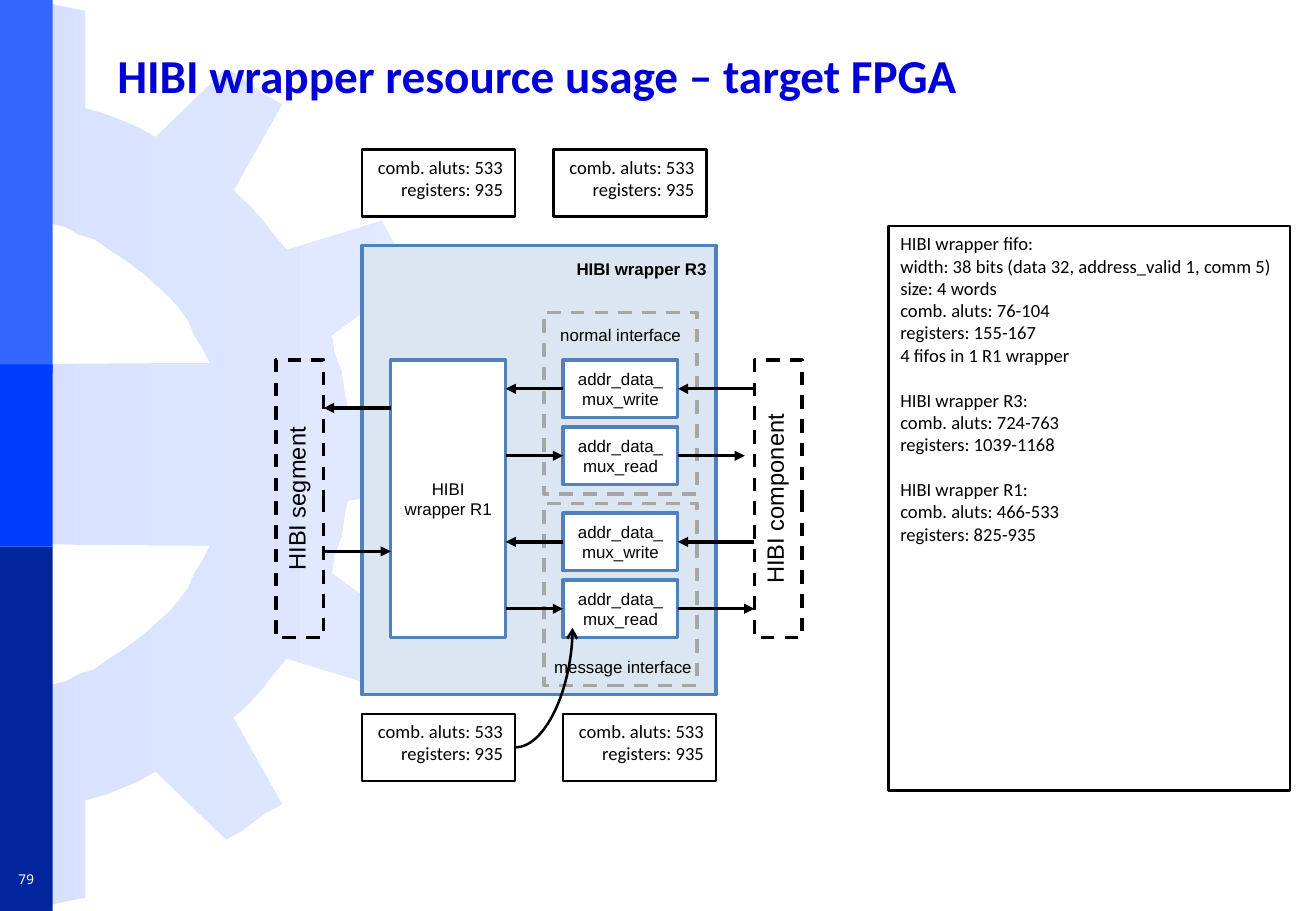
from dataclasses import dataclass

from pptx import Presentation
from pptx import util as u
from pptx.dml.color import RGBColor
from pptx.enum import dml, shapes, text
from pptx.oxml import parse_xml
from pptx.oxml.ns import nsdecls, qn

WIDE, HIGH = u.Inches(10.83), u.Inches(7.5)
CELL = u.Mm(2)                              # grid step of the diagram
LEFT, TOP = u.Inches(2.98), u.Inches(2.02)  # grid origin: corner of wrapper R3

BLACK = RGBColor(0x00, 0x00, 0x00)
WHITE = RGBColor(0xFF, 0xFF, 0xFF)
TITLE = RGBColor(0x00, 0x00, 0xD6)
EDGE = RGBColor(0x4F, 0x81, 0xBD)
PALE = RGBColor(0xDC, 0xE6, 0xF2)
GREY = RGBColor(0xA6, 0xA6, 0xA6)
GEAR = (RGBColor(0xD7, 0xE1, 0xFF), RGBColor(0xE3, 0xEA, 0xFF))
SKY = RGBColor(0x33, 0x66, 0xFF)
NAVY = RGBColor(0x00, 0x25, 0x9C)
ROYAL = RGBColor(0x00, 0x3C, 0xFC)

ALIGN, ANCHOR = text.PP_ALIGN, text.MSO_ANCHOR

# Lower half of the gear in hundredths of an inch; the upper half mirrors it
HALF = [(0, 448), (173, 449), (167, 461), (160, 472), (155, 484), (147, 495),
        (139, 504), (130, 512), (119, 522), (111, 528), (100, 536), (89, 543),
        (78, 551), (65, 555), (54, 561), (42, 564), (28, 568), (14, 570),
        (14, 749), (29, 746), (42, 745), (55, 742), (70, 739), (70, 659),
        (87, 654), (100, 649), (114, 643), (128, 635), (186, 691), (199, 684),
        (208, 677), (219, 669), (232, 662), (192, 591), (206, 578), (215, 568),
        (225, 555), (236, 542), (314, 566), (320, 555), (327, 543), (333, 534),
        (338, 520), (273, 472), (275, 457), (281, 442), (282, 435), (283, 427),
        (286, 412), (367, 400), (370, 385), (370, 374)]
MIRROR = 748


@dataclass
class Box:
    """Box in grid cells, with its look and its text."""
    col: float
    row: float
    cols: float
    rows: float
    words: str = ""
    fill: RGBColor | None = None
    edge: RGBColor | None = None
    thick: float = 2
    dash: bool = False
    size: float = 10
    face: str = "Arial"
    bold: bool = False
    align: ALIGN = ALIGN.CENTER
    anchor: ANCHOR = ANCHOR.MIDDLE
    wrap: bool = True
    side: float = 0.1
    turn: int = 0


@dataclass
class Arrow:
    """Straight arrow along one grid row."""
    start: float
    end: float
    row: float


def across(col: float) -> int:
    return round(LEFT + col * CELL)


def down(row: float) -> int:
    return round(TOP + row * CELL)


def write(frame, words: str, face: str, size: float, ink: RGBColor,
          align: ALIGN, bold: bool = False) -> None:
    """Fill a frame; a blank line in words becomes space before the next line."""
    blocks = [block.split("\n") for block in words.split("\n\n")]
    frame.text = "\n".join(line for block in blocks for line in block)
    heads = {sum(map(len, blocks[:n])) for n in range(1, len(blocks))}
    for n, para in enumerate(frame.paragraphs):
        para.alignment = align
        if n in heads:
            para.space_before = u.Pt(13.4)
        for run in para.runs:
            font = run.font
            font.name, font.size, font.bold = face, u.Pt(size), bold
            font.color.rgb = ink


def draw_box(slide, box: Box) -> None:
    shape = slide.shapes.add_shape(
        shapes.MSO_SHAPE.RECTANGLE, across(box.col), down(box.row),
        round(box.cols * CELL), round(box.rows * CELL))
    shape.shadow.inherit = False
    shape.rotation = box.turn
    if box.fill is None:
        shape.fill.background()
    else:
        shape.fill.solid()
        shape.fill.fore_color.rgb = box.fill
    if box.edge is None:
        shape.line.fill.background()
    else:
        shape.line.color.rgb = box.edge
        shape.line.width = u.Pt(box.thick)
        if box.dash:
            shape.line.dash_style = dml.MSO_LINE.DASH
    if box.words:
        frame = shape.text_frame
        frame.word_wrap, frame.vertical_anchor = box.wrap, box.anchor
        frame.margin_left = frame.margin_right = u.Inches(box.side)
        write(frame, box.words, box.face, box.size, BLACK, box.align, box.bold)


def link(slide, kind, start: tuple, end: tuple, thick: float, head: str):
    line = slide.shapes.add_connector(
        kind, across(start[0]), down(start[1]), across(end[0]), down(end[1]))
    line.line.color.rgb = BLACK
    line.line.width = u.Pt(thick)
    props = line._element.spPr
    props.find(qn("a:ln")).append(
        parse_xml(f'<a:tailEnd {nsdecls("a")} type="{head}"/>'))
    props.append(parse_xml(f'<a:effectLst {nsdecls("a")}/>'))
    return line


def label(slide, place: tuple, words: str, face: str, size: float,
          ink: RGBColor, align: ALIGN, anchor: ANCHOR, bold: bool):
    """Text box placed by shares of the slide's size."""
    x, y, w, h = place
    frame = slide.shapes.add_textbox(
        round(x * WIDE), round(y * HIGH), round(w * WIDE), round(h * HIGH)).text_frame
    frame.word_wrap, frame.vertical_anchor = bold, anchor
    write(frame, words, face, size, ink, align, bold)
    return frame


def draw_back(slide) -> None:
    # Gear
    points = HALF + [(x, MIRROR - y) for x, y in reversed(HALF)]
    path = slide.shapes.build_freeform(*points[0], scale=u.Inches(0.01))
    path.add_line_segments(points[1:], close=True)
    gear = path.convert_to_shape()
    gear.shadow.inherit = False
    gear.line.fill.background()
    gear.fill.gradient()
    gear.fill.gradient_angle = 0
    for stop, tint in zip(gear.fill.gradient_stops, GEAR):
        stop.color.rgb = tint
    # Side bars
    for top, tall, tint in ((0, 0.41, SKY), (0.6, 0.4, NAVY), (0.4, 0.2, ROYAL)):
        bar = slide.shapes.add_shape(
            shapes.MSO_SHAPE.RECTANGLE, 0, round(top * HIGH),
            round(0.04 * WIDE), round(tall * HIGH))
        bar.shadow.inherit = False
        bar.fill.solid()
        bar.fill.fore_color.rgb = tint
        bar.line.fill.background()


def note(col: float, row: float, cols: float, rows: float, words: str,
         align: ALIGN) -> Box:
    return Box(col, row, cols, rows, words, WHITE, BLACK, 1.5, size=11,
               face="Calibri", align=align, anchor=ANCHOR.TOP, wrap=False)


FIFO = """HIBI wrapper fifo:
width: 38 bits (data 32, address_valid 1, comm 5)
size: 4 words
comb. aluts: 76-104
registers: 155-167
4 fifos in 1 R1 wrapper

HIBI wrapper R3:
comb. aluts: 724-763
registers: 1039-1168

HIBI wrapper R1:
comb. aluts: 466-533
registers: 825-935"""

BOXES = [
    Box(0, 0, 37, 47, fill=PALE, edge=EDGE),
    Box(2.5, 0, 34.5, 5, "HIBI wrapper R3", bold=True, align=ALIGN.RIGHT, side=0.08),
    Box(3, 12, 12, 29, "HIBI wrapper R1", WHITE, EDGE),
    *(Box(21, top + skip, 12, 6, f"addr_data_mux_{job}", WHITE, EDGE)
      for top in (12, 28) for skip, job in ((0, "write"), (7, "read"))),
    *(Box(19, top, 16, 19, edge=GREY, dash=True) for top in (27, 7)),
    Box(19, 7, 16, 4.7, "normal interface", wrap=False, side=0.04),
    Box(19.5, 42.2, 15.5, 3.8, "message interface", wrap=False, side=0.04),
    # Upright end blocks, turned about their centres
    *(Box(mid - 14.5, 24, 29, 5, words, edge=BLACK, dash=True, size=14,
          anchor=ANCHOR.TOP, wrap=False, turn=270)
      for mid, words in ((-6.5, "HIBI segment"), (43.5, "HIBI component"))),
    note(55, -2, 42, 59, FIFO, ALIGN.LEFT),
    *(note(col, row, 16, 7, "comb. aluts: 533\nregisters: 935", ALIGN.RIGHT)
      for col, row in ((0, -10), (20, -10), (0, 49), (21, 49))),
]

ARROWS = [
    *(Arrow(start, end, row) for row in (15, 31) for start, end in ((21, 15), (41, 33))),
    *(Arrow(15, 21, row) for row in (22, 38)),
    Arrow(33, 40, 22), Arrow(33, 41, 38),
    Arrow(3, -4, 17), Arrow(-4, 3, 32),
]


def main() -> None:
    deck = Presentation()
    deck.slide_width, deck.slide_height = WIDE, HIGH
    slide = deck.slides.add_slide(deck.slide_layouts[6])
    draw_back(slide)

    # Title and page number
    title = label(slide, (0.08, 0.04, 0.71, 0.08),
                  "HIBI wrapper resource usage – target FPGA", "Calibri", 28,
                  TITLE, ALIGN.LEFT, ANCHOR.BOTTOM, True)
    title.paragraphs[0].line_spacing = 0.9
    label(slide, (0, 0.95, 0.04, 0.03), "79", "Noto Sans Mono", 8,
          WHITE, ALIGN.CENTER, ANCHOR.MIDDLE, False)

    # Diagram
    for box in BOXES:
        draw_box(slide, box)
    for arrow in ARROWS:
        link(slide, shapes.MSO_CONNECTOR.STRAIGHT, (arrow.start, arrow.row),
             (arrow.end, arrow.row), 2, "triangle")
    curve = link(slide, shapes.MSO_CONNECTOR.CURVE, (16, 52.5), (22, 40), 1.5, "arrow")
    curve._element.spPr.find(qn("a:prstGeom")).set("prst", "curvedConnector2")

    deck.save("out.pptx")


if __name__ == "__main__":
    main()
